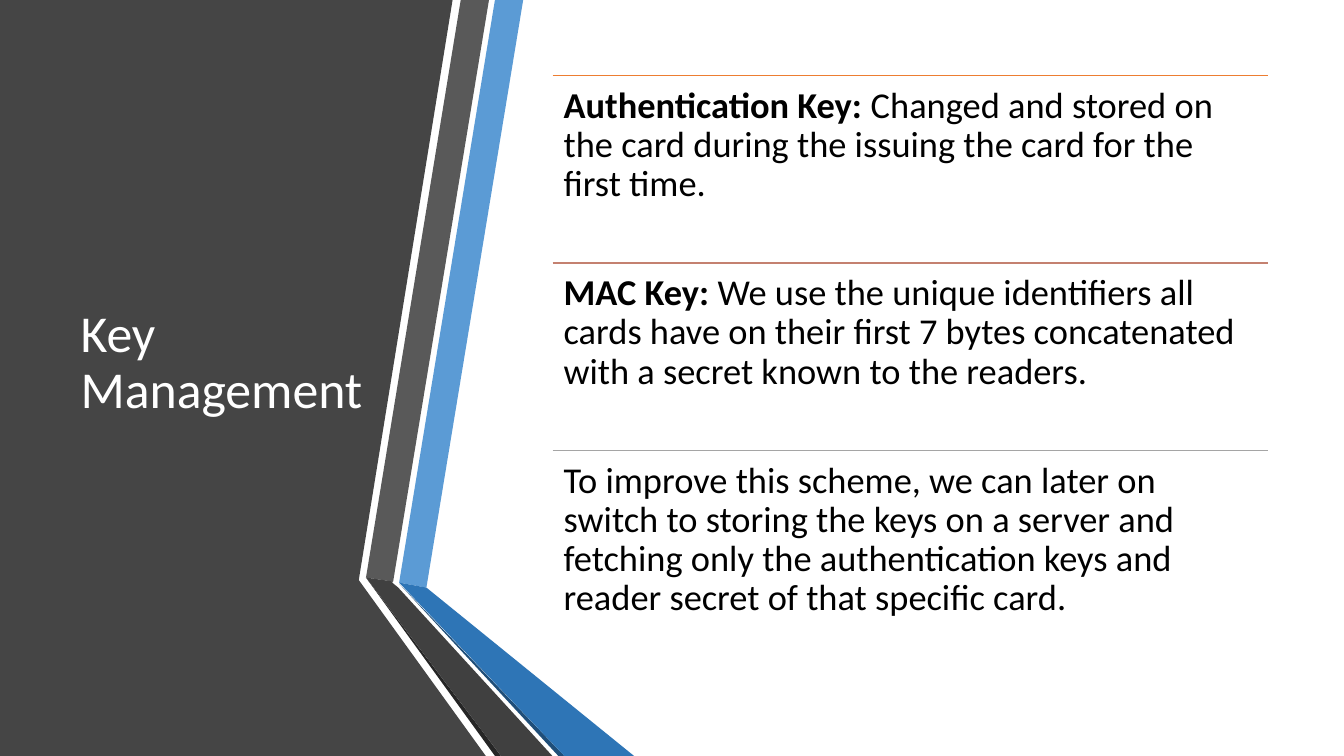
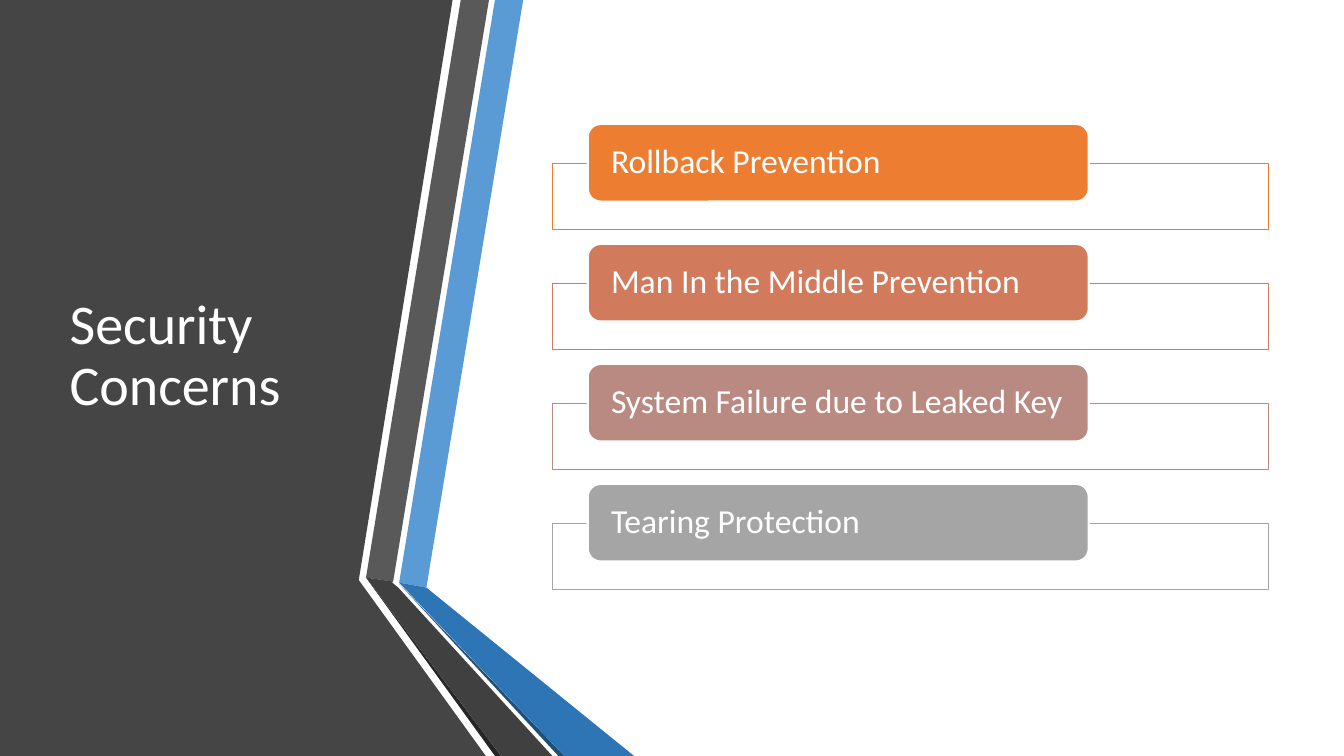
from dataclasses import dataclass

from lxml.etree import SubElement
from pptx import Presentation
from pptx.dml.color import RGBColor as RGB
from pptx.enum.shapes import MSO_CONNECTOR as CONN, MSO_SHAPE as SHAPE
from pptx.enum.text import MSO_ANCHOR as ANCHOR, PP_ALIGN as ALIGN
from pptx.oxml.ns import qn
from pptx.util import Inches, Pt

WIDTH, HEIGHT = Inches(13.333), Inches(7.5)


@dataclass(frozen=True)
class Theme:
    """Colours, type sizes and line widths of the deck."""
    font: str = "Calibri"
    white: str = "FFFFFF"
    text: str = "000000"
    panel: str = "454545"
    blue: str = "5B9BD5"
    blue_fold: str = "2E75B6"
    blue_edge: str = "1F4E79"
    grey: str = "595959"
    grey_fold: str = "404040"
    grey_edge: str = "262626"
    rules: tuple = ("ED7D31", "C48170", "A5A5A5")
    concerns: tuple = ("ED7D31", "D17B5C", "B98A82", "A5A5A5")
    title_small: int = 37
    title_large: int = 40
    body: int = 26
    label: int = 24
    hairline: float = 1
    outline: float = 1.5


T = Theme()
CONTENT_X, CONTENT_W = 41.11, 53.26

RIBBONS = (
    (T.panel, ((0, 0), (33.68, 0), (26.7, 76.73), (36.15, 100), (0, 100))),
    (T.blue, ((29.7, 77.07), (31.73, 77.73), (38.93, 0), (36.83, 0))),
    (T.grey, ((36.38, 0), (34.28, 0), (27.23, 76.4), (29.25, 76.93))),
    (T.grey_edge, ((27.23, 76.4), (36.83, 100), (37.28, 100))),
    (T.blue_edge, ((29.7, 77.2), (41.55, 100), (42, 100))),
    (T.blue_fold, ((29.7, 77.07), (42, 100), (47.18, 100), (31.73, 77.73))),
    (T.grey_fold, ((41.1, 100), (29.63, 77.73), (29.18, 77.07),
                   (29.25, 76.93), (27.23, 76.4), (37.28, 100))),
)

KEYS = (
    ("Authentication Key: ",
     "Changed and stored on the card during the issuing the card "
     "for the first time. "),
    ("MAC Key: ",
     "We use the unique identifiers all cards have on their first 7 bytes "
     "concatenated with a secret known to the readers."),
    ("",
     "To improve this scheme, we can later on switch to storing the keys on "
     "a server and fetching only the authentication keys and reader secret "
     "of that specific card."),
)

CONCERNS = ("Rollback Prevention", "Man In the Middle Prevention",
            "System Failure due to Leaked Key", "Tearing Protection")


def across(share):
    """Turn a percentage of the slide width into a length."""
    return round(WIDTH * share / 100)


def down(share):
    """Turn a percentage of the slide height into a length."""
    return round(HEIGHT * share / 100)


def box(x, y, w, h):
    """Turn four percentages into a position and a size."""
    return across(x), down(y), across(w), down(h)


def paint(sp, fill, line=None, width=T.hairline):
    """Give a shape a flat fill and an optional line."""
    sp.shadow.inherit = False
    sp.fill.solid()
    sp.fill.fore_color.rgb = RGB.from_string(fill)
    if line:
        sp.line.color.rgb = RGB.from_string(line)
        sp.line.width = Pt(width)
    else:
        sp.line.fill.background()


def write(sp, runs, size, color, anchor, inset):
    """Write (text, bold) runs as one left-aligned paragraph."""
    tf = sp.text_frame
    tf.word_wrap = True
    tf.vertical_anchor = anchor
    tf.margin_left = tf.margin_right = across(inset[0])
    tf.margin_top = tf.margin_bottom = down(inset[1])
    p = tf.paragraphs[0]
    p.alignment = ALIGN.LEFT
    p.line_spacing = 0.9
    for text, bold in runs:
        r = p.add_run()
        r.text = text
        r.font.name = T.font
        r.font.size = Pt(size)
        r.font.bold = bold
        r.font.color.rgb = RGB.from_string(color)


def add_ribbon(s, color, points):
    """Draw one polygon of the folded side panel."""
    corners = [(across(x), down(y)) for x, y in points]
    outline = s.shapes.build_freeform(*corners[0], scale=1.0)
    outline.add_line_segments(corners[1:], close=True)
    paint(outline.convert_to_shape(), color)


def add_title(s, text, x, y, size):
    """Set the title on the side panel."""
    sp = s.shapes.add_textbox(*box(x, y, 22.8, 74.4))
    write(sp, [(text, False)], size, T.white, ANCHOR.MIDDLE, (0.75, 0.67))


def add_rule(s, y, color):
    """Draw a horizontal rule across the content area."""
    left, right = across(CONTENT_X), across(CONTENT_X + CONTENT_W)
    rule = s.shapes.add_connector(CONN.STRAIGHT, left, down(y), right, down(y))
    rule.line.color.rgb = RGB.from_string(color)
    rule.line.width = Pt(T.hairline)
    SubElement(rule._element.spPr, qn("a:effectLst"))


def add_key(s, y, h, color, term, detail):
    """Add a ruled row with a bold term and its detail."""
    add_rule(s, y, color)
    sp = s.shapes.add_textbox(*box(CONTENT_X, y, CONTENT_W, h))
    runs = [(text, bold) for text, bold in ((term, True), (detail, False)) if text]
    write(sp, runs, T.body, T.text, ANCHOR.TOP, (0.83, 1.47))


def add_concern(s, y, color, text):
    """Add an outlined frame with a label pill on its upper edge."""
    frame = s.shapes.add_shape(SHAPE.RECTANGLE,
                               *box(CONTENT_X, y + 5.2, CONTENT_W, 8.8))
    paint(frame, T.white, color)
    tint = frame._element.spPr.find(qn("a:solidFill"))[0]
    SubElement(tint, qn("a:alpha"), val="90000")
    pill = s.shapes.add_shape(SHAPE.ROUNDED_RECTANGLE,
                              *box(43.73, y, 37.28, 10.27))
    paint(pill, color, T.white, T.outline)
    write(pill, [(text, False)], T.label, T.white, ANCHOR.MIDDLE, (1.45, 0))


def add_panel_slide(prs, title, x, y, size):
    """Add a blank slide with the side panel and its title."""
    s = prs.slides.add_slide(prs.slide_layouts[6])
    for color, points in RIBBONS:
        add_ribbon(s, color, points)
    add_title(s, title, x, y, size)
    return s


def build_keys(prs):
    """Build the key management slide."""
    s = add_panel_slide(prs, "Key Management", 5.25, 10.93, T.title_small)
    top, row = 10, 24.8
    for i, (color, key) in enumerate(zip(T.rules, KEYS)):
        add_key(s, top + i * row, row, color, *key)


def build_concerns(prs):
    """Build the security concerns slide."""
    s = add_panel_slide(prs, "Security Concerns", 4.43, 10, T.title_large)
    top, pitch = 16.4, 15.87
    for i, (color, text) in enumerate(zip(T.concerns, CONCERNS)):
        add_concern(s, top + i * pitch, color, text)


def main():
    """Build the deck and save it."""
    prs = Presentation()
    prs.slide_width, prs.slide_height = WIDTH, HEIGHT
    build_keys(prs)
    build_concerns(prs)
    prs.save("out.pptx")


main()
